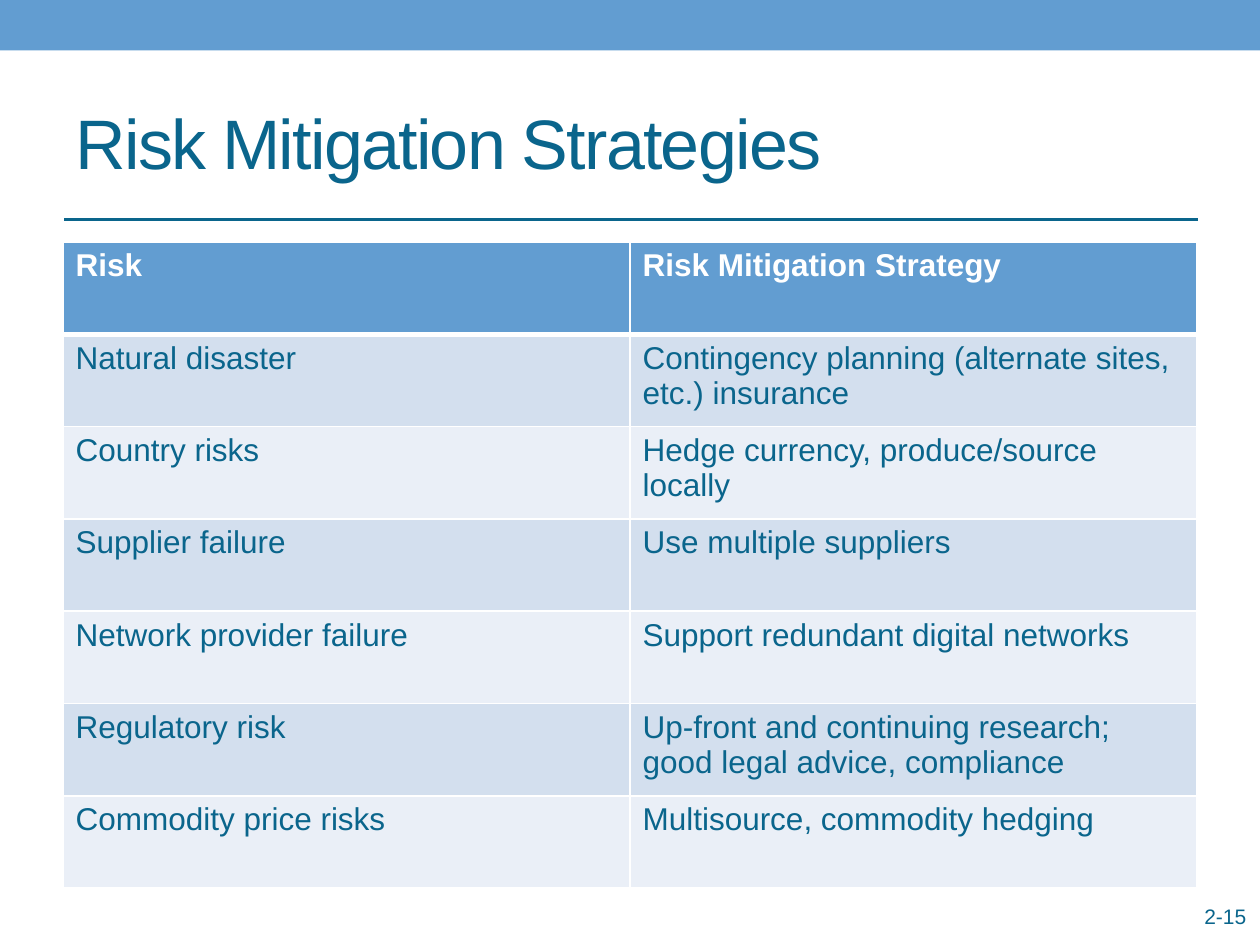
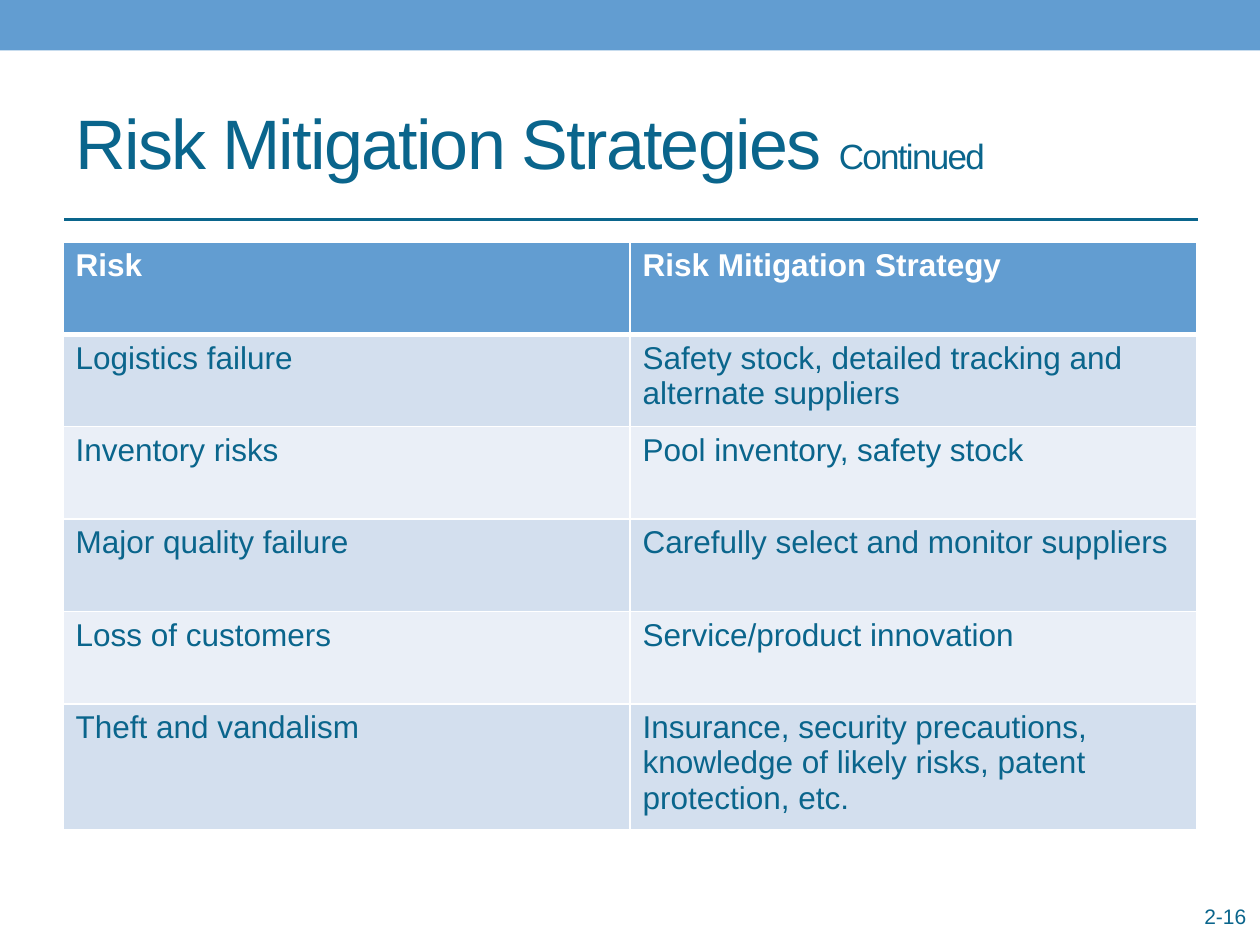
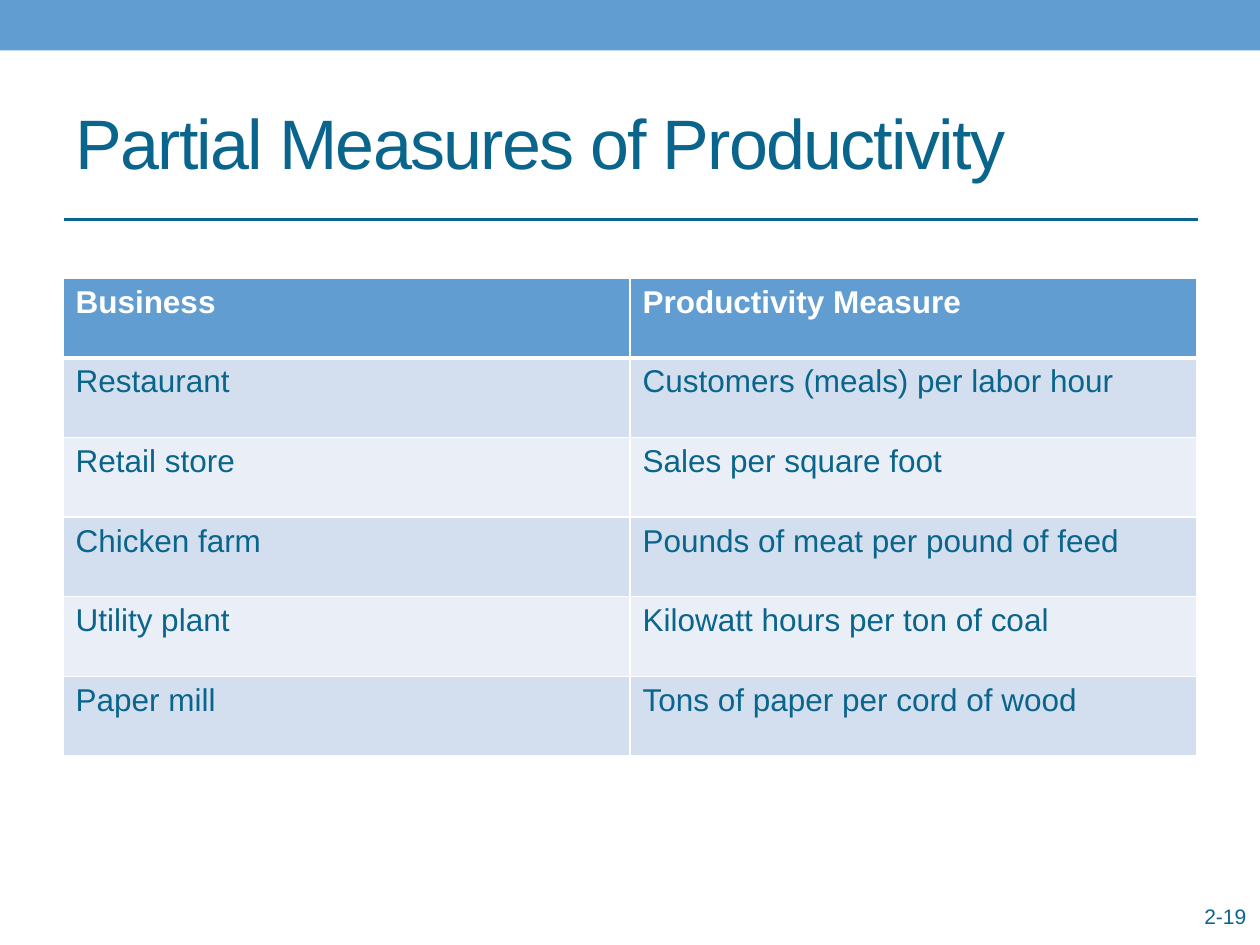
from lxml.etree import SubElement as Sub
from pptx import Presentation
from pptx.dml.color import RGBColor as RGB
from pptx.enum.shapes import MSO_CONNECTOR as Link, MSO_SHAPE as Shape
from pptx.enum.text import MSO_ANCHOR as Anchor, MSO_AUTO_SIZE as Fit, PP_ALIGN as Align
from pptx.oxml.ns import qn
from pptx.util import Inches, Pt

# Theme
BLUE = RGB(0x62, 0x9D, 0xD1)
TEAL = RGB(0x0A, 0x65, 0x8C)
WHITE = RGB(0xFF, 0xFF, 0xFF)
DARK = RGB(0xD3, 0xDF, 0xEE)
PALE = RGB(0xEA, 0xEF, 0xF7)
FACE = "Arial"

# Grid of 20 columns by 15 rows; boxes are left, top, width, height
COLS, ROWS = 20, 15
CELL = Inches(0.5)
BAND = (0, 0, COLS, 0.8)
HEAD = (1, 1.16, 18, 2.16)
RULE = (1.02, 3.48, 18, 0)
PAGE = (17.64, 14.24, 2.34, 0.72)

RISK = ("Risk", "Risk Mitigation Strategy")

# Each slide: title runs with sizes, page, table box, table rows
DECK = [
    ([("Risk Mitigation Strategies", 40)], "2-15", (1, 3.84, 18, 10.26), [
        RISK,
        ("Natural disaster", "Contingency planning (alternate sites, etc.) insurance"),
        ("Country risks", "Hedge currency, produce/source locally"),
        ("Supplier failure", "Use multiple suppliers"),
        ("Network provider failure", "Support redundant digital networks"),
        ("Regulatory risk",
         "Up-front and continuing research; good legal advice, compliance"),
        ("Commodity price risks", "Multisource, commodity hedging"),
    ]),
    ([("Risk Mitigation Strategies ", 40), ("Continued", 20)], "2-16",
     (1, 3.84, 18, 8.8), [
        RISK,
        ("Logistics failure", "Safety stock, detailed tracking and alternate suppliers"),
        ("Inventory risks", "Pool inventory, safety stock"),
        ("Major quality failure", "Carefully select and monitor suppliers"),
        ("Loss of customers", "Service/product innovation"),
        ("Theft and vandalism", "Insurance, security precautions, knowledge of "
                                "likely risks, patent protection, etc."),
    ]),
    ([("Partial Measures of Productivity", 40)], "2-19", (1, 4.42, 18, 7.58), [
        ("Business", "Productivity Measure"),
        ("Restaurant", "Customers (meals) per labor hour"),
        ("Retail store", "Sales per square foot"),
        ("Chicken farm", "Pounds of meat per pound of feed"),
        ("Utility plant", "Kilowatt hours per ton of coal"),
        ("Paper mill", "Tons of paper per cord of wood"),
    ]),
]


def place(box):
    return [int(n * CELL) for n in box]


def style(para, color, size=None, bold=False):
    font = para.font
    font.name, font.bold = FACE, bold
    font.color.rgb = color
    if size:
        font.size = Pt(size)


def frame(slide, page):
    # Top band
    band = slide.shapes.add_shape(Shape.RECTANGLE, *place(BAND))
    band.shadow.inherit = False
    band.fill.solid()
    band.fill.fore_color.rgb = BLUE
    band.line.fill.background()
    # Rule below the title
    left, top, width, high = place(RULE)
    rule = slide.shapes.add_connector(Link.STRAIGHT, left, top, left + width, top + high)
    rule.line.color.rgb = TEAL
    rule.line.width = Pt(1.5)
    Sub(rule._element.spPr, qn("a:effectLst"))
    # Page number
    text = slide.shapes.add_textbox(*place(PAGE)).text_frame
    text.word_wrap = True
    para = text.paragraphs[0]
    para.text, para.alignment = page, Align.RIGHT
    style(para, TEAL, 12)


def title(slide, runs):
    shape = slide.shapes.title
    shape.left, shape.top, shape.width, shape.height = place(HEAD)
    text = shape.text_frame
    text.auto_size, text.vertical_anchor = Fit.NONE, Anchor.MIDDLE
    para = text.paragraphs[0]
    para.alignment = Align.LEFT
    style(para, TEAL)
    for words, size in runs:
        run = para.add_run()
        run.text, run.font.size = words, Pt(size)
        run._r.get_or_add_rPr().set("spc", "-100")


def edge(cell, row):
    # White borders, heavier between the header and the body
    wide = {"T": 3 if row == 1 else 1, "B": 3 if row == 0 else 1}
    for side in "LRTB":
        line = Sub(cell._tc.get_or_add_tcPr(), qn(f"a:ln{side}"),
                   w=str(Pt(wide.get(side, 1))))
        Sub(Sub(line, qn("a:solidFill")), qn("a:srgbClr"), val=str(WHITE))


def grid(slide, box, rows):
    left, top, width, high = place(box)
    table = slide.shapes.add_table(len(rows), len(rows[0]), left, top, width, high).table
    for r, row in enumerate(rows):
        fill = BLUE if r == 0 else DARK if r % 2 else PALE
        for c, words in enumerate(row):
            cell = table.cell(r, c)
            edge(cell, r)
            cell.fill.solid()
            cell.fill.fore_color.rgb = fill
            cell.text = words
            style(cell.text_frame.paragraphs[0], TEAL if r else WHITE, 18, r == 0)


def main():
    prs = Presentation()
    prs.slide_width, prs.slide_height = COLS * CELL, ROWS * CELL
    for runs, page, box, rows in DECK:
        slide = prs.slides.add_slide(prs.slide_layouts.get_by_name("Title Only"))
        frame(slide, page)
        title(slide, runs)
        grid(slide, box, rows)
    prs.save("out.pptx")


if __name__ == "__main__":
    main()
